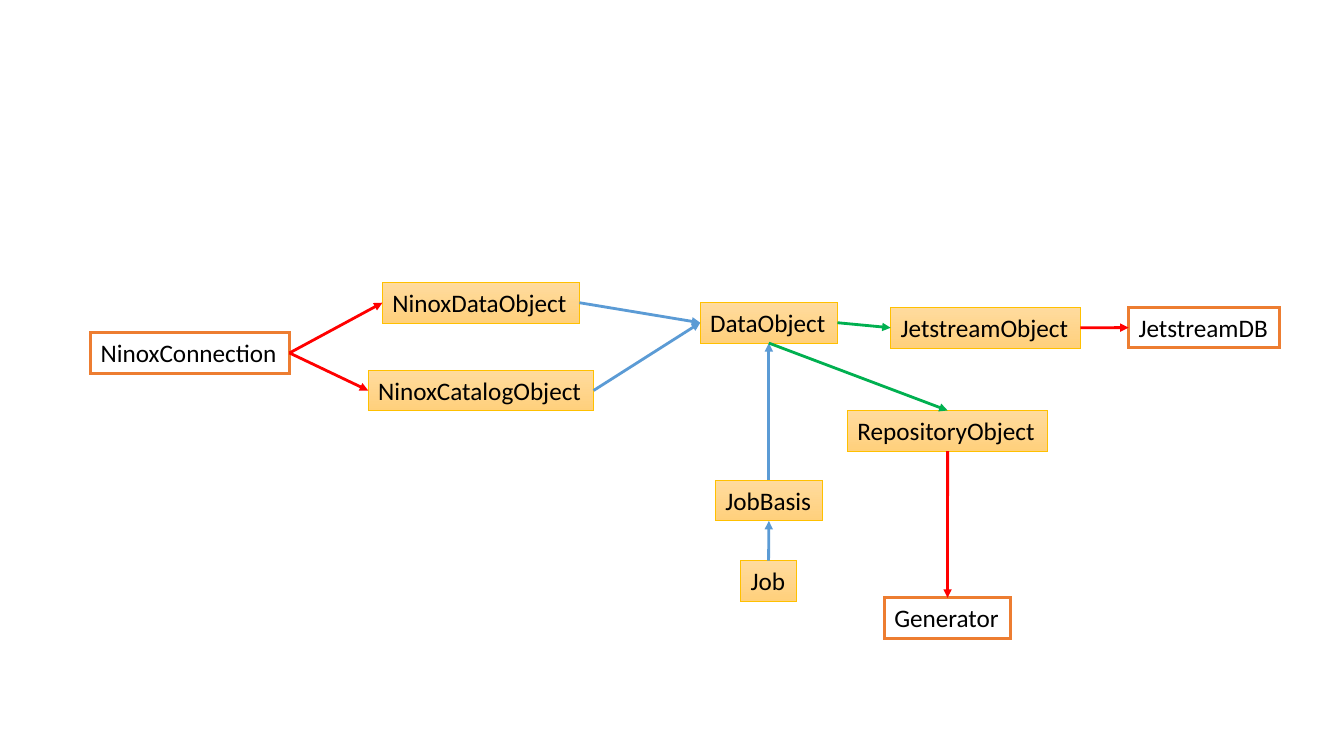
from collections import namedtuple
from dataclasses import dataclass

from lxml import etree
from pptx import Presentation
from pptx import util as u
from pptx.dml.color import RGBColor
from pptx.enum import shapes, text
from pptx.oxml import ns

Box = namedtuple("Box", "left top width height")
TOP, LEFT, BOTTOM, RIGHT = range(4)


@dataclass(frozen=True)
class Theme:
    font: str = "Calibri"
    size: float = 18
    ink: str = "000000"
    paper: str = "FFFFFF"
    external_edge: str = "ED7D31"
    external_width: float = 2.25
    entity_top: str = "FFDB9E"
    entity_bottom: str = "FFD07C"
    entity_edge: str = "FFC000"
    entity_width: float = 0.5
    access: str = "FF0000"
    inherit: str = "5B9BD5"
    store: str = "00B050"
    arrow_width: float = 2


THEME = Theme()
NODE_HEIGHT = 29.08

ENTITIES = {
    "NinoxDataObject": (209.2, 1.7, 140.7),
    "NinoxCatalogObject": (199, 64.4, 161),
    "DataObject": (436.2, 16, 98),
    "JetstreamObject": (572.2, 19.6, 135.6),
    "RepositoryObject": (541.4, 93.2, 143),
    "JobBasis": (447, 143, 76.4),
    "Job": (465, 200.4, 40),
}
EXTERNALS = {
    "NinoxConnection": (0.8, 37.6, 142),
    "JetstreamDB": (742.2, 19.5, 108),
    "Generator": (567.7, 227, 90.2),
}
LINKS = [
    ("NinoxConnection", RIGHT, "NinoxDataObject", LEFT, THEME.access),
    ("NinoxConnection", RIGHT, "NinoxCatalogObject", LEFT, THEME.access),
    ("JetstreamObject", RIGHT, "JetstreamDB", LEFT, THEME.access),
    ("RepositoryObject", BOTTOM, "Generator", TOP, THEME.access),
    ("NinoxDataObject", RIGHT, "DataObject", LEFT, THEME.inherit),
    ("NinoxCatalogObject", RIGHT, "DataObject", LEFT, THEME.inherit),
    ("JobBasis", TOP, "DataObject", BOTTOM, THEME.inherit),
    ("Job", TOP, "JobBasis", BOTTOM, THEME.inherit),
    ("DataObject", RIGHT, "JetstreamObject", LEFT, THEME.store),
    ("DataObject", BOTTOM, "RepositoryObject", TOP, THEME.store),
]


def rgb(value):
    return RGBColor.from_string(value)


def write(frame, words, size=THEME.size, color=THEME.ink, align=text.PP_ALIGN.LEFT):
    frame.word_wrap = False
    frame.vertical_anchor = text.MSO_ANCHOR.TOP
    para = frame.paragraphs[0]
    para.alignment = align
    span = para.add_run()
    span.text = words
    span.font.name = THEME.font
    span.font.size = u.Pt(size)
    span.font.color.rgb = rgb(color)


def style_line(line, color, width, detail, **attributes):
    line.color.rgb = rgb(color)
    line.width = u.Pt(width)
    etree.SubElement(line._get_or_add_ln(), ns.qn(detail), **attributes)


def add_node(page, box, label, edge, edge_width):
    node = page.shapes.add_shape(shapes.MSO_SHAPE.RECTANGLE, *map(u.Pt, box))
    node.shadow.inherit = False
    style_line(node.line, edge, edge_width, "a:miter", lim="800000")
    write(node.text_frame, label)
    return node


def add_entity(page, box, label):
    node = add_node(page, box, label, THEME.entity_edge, THEME.entity_width)
    node.fill.gradient()
    node.fill.gradient_angle = 270
    colors = (THEME.entity_top, THEME.entity_bottom)
    for position, (stop, color) in enumerate(zip(node.fill.gradient_stops, colors)):
        stop.position = position
        stop.color.rgb = rgb(color)
    return node


def add_external(page, box, label):
    node = add_node(page, box, label, THEME.external_edge, THEME.external_width)
    node.fill.solid()
    node.fill.fore_color.rgb = rgb(THEME.paper)
    return node


def side_point(node, side):
    across = {LEFT: 0, TOP: 0.5, BOTTOM: 0.5, RIGHT: 1}[side]
    down = {TOP: 0, LEFT: 0.5, RIGHT: 0.5, BOTTOM: 1}[side]
    return (
        u.Emu(int(node.left + node.width * across)),
        u.Emu(int(node.top + node.height * down)),
    )


def add_arrow(page, source, source_side, target, target_side, color):
    start, end = side_point(source, source_side), side_point(target, target_side)
    arrow = page.shapes.add_connector(shapes.MSO_CONNECTOR.STRAIGHT, *start, *end)
    arrow.begin_connect(source, source_side)
    arrow.end_connect(target, target_side)
    style_line(arrow.line, color, THEME.arrow_width, "a:tailEnd", type="triangle")
    etree.SubElement(arrow._element.spPr, ns.qn("a:effectLst"))


def add_class_diagram(page, box):
    nodes = {}
    for group, add in ((ENTITIES, add_entity), (EXTERNALS, add_external)):
        for label, (left, top, width) in group.items():
            place = Box(box.left + left, box.top + top, width, NODE_HEIGHT)
            nodes[label] = add(page, place, label)
    for source, source_side, target, target_side, color in LINKS:
        add_arrow(page, nodes[source], source_side, nodes[target], target_side, color)


def main():
    deck = Presentation()
    deck.slide_width, deck.slide_height = u.Pt(960), u.Pt(540)
    page = deck.slides.add_slide(deck.slide_layouts[6])
    add_class_diagram(page, Box(64, 200, 851, 257))
    deck.save("out.pptx")


if __name__ == "__main__":
    main()
